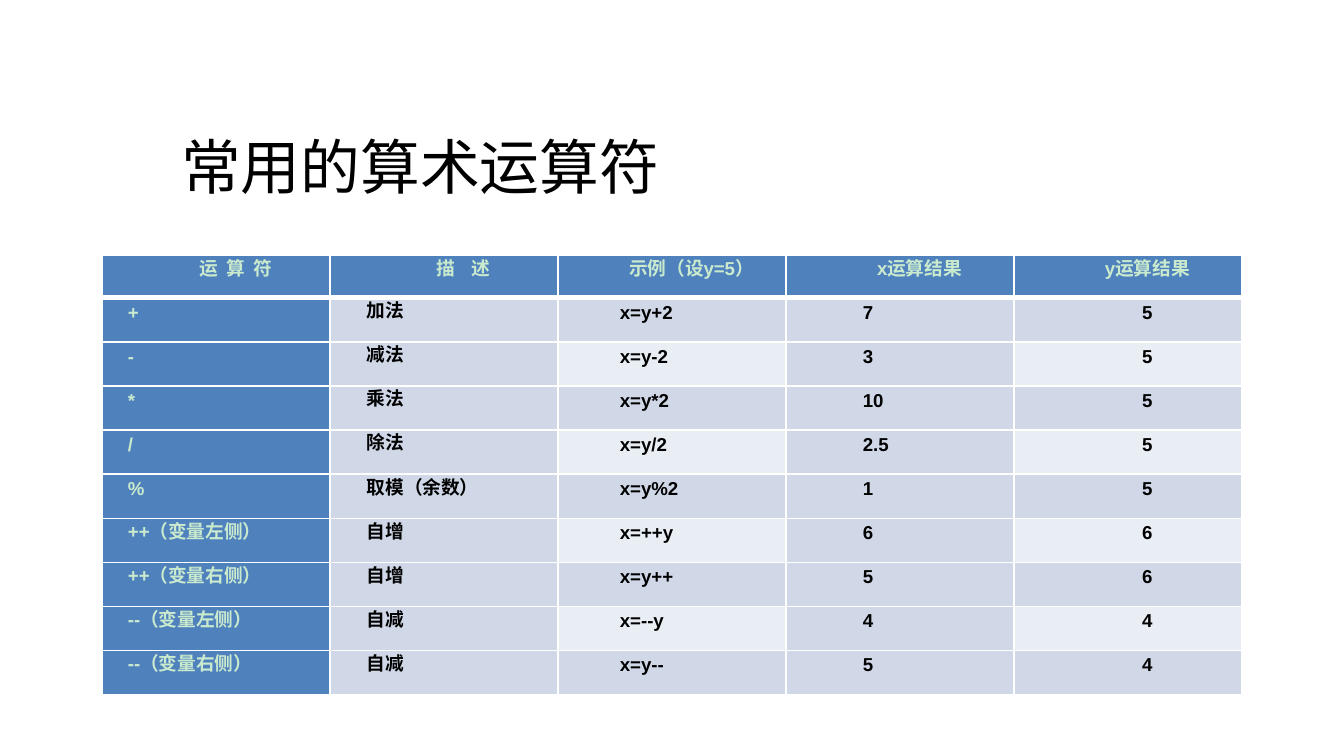
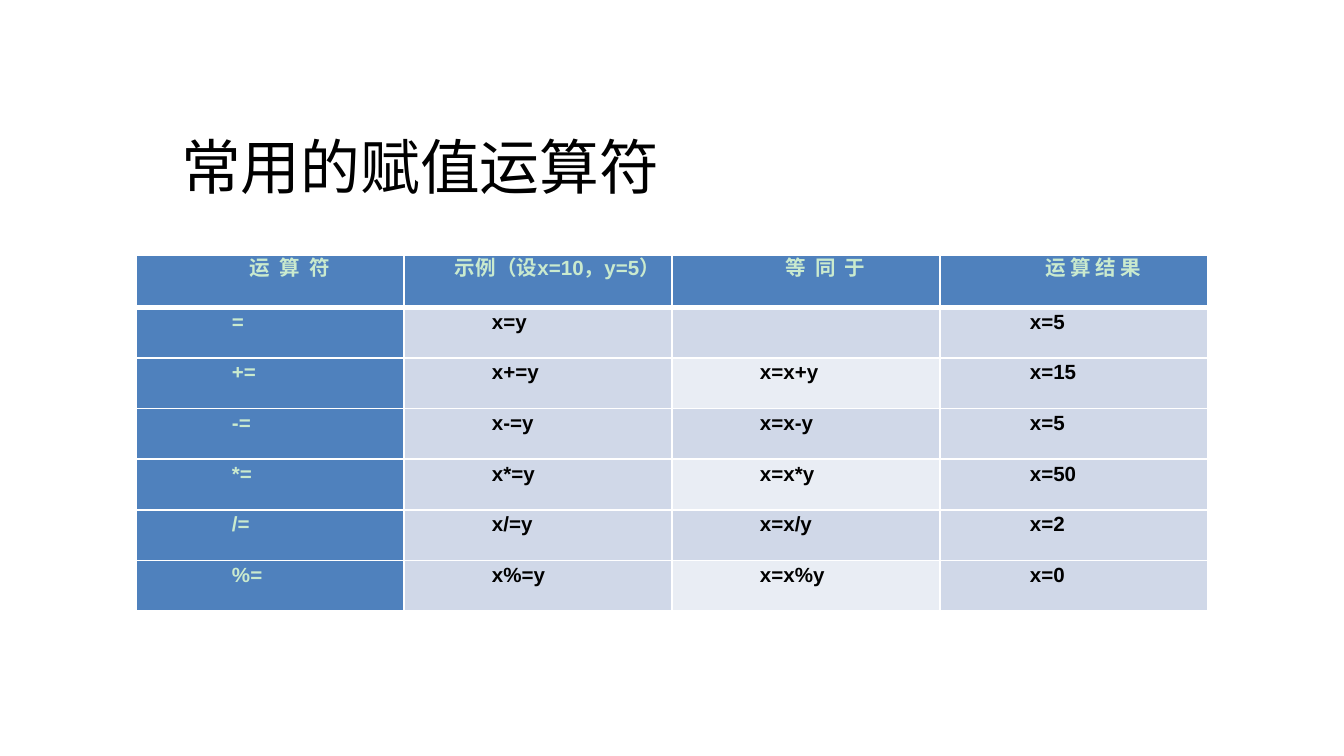
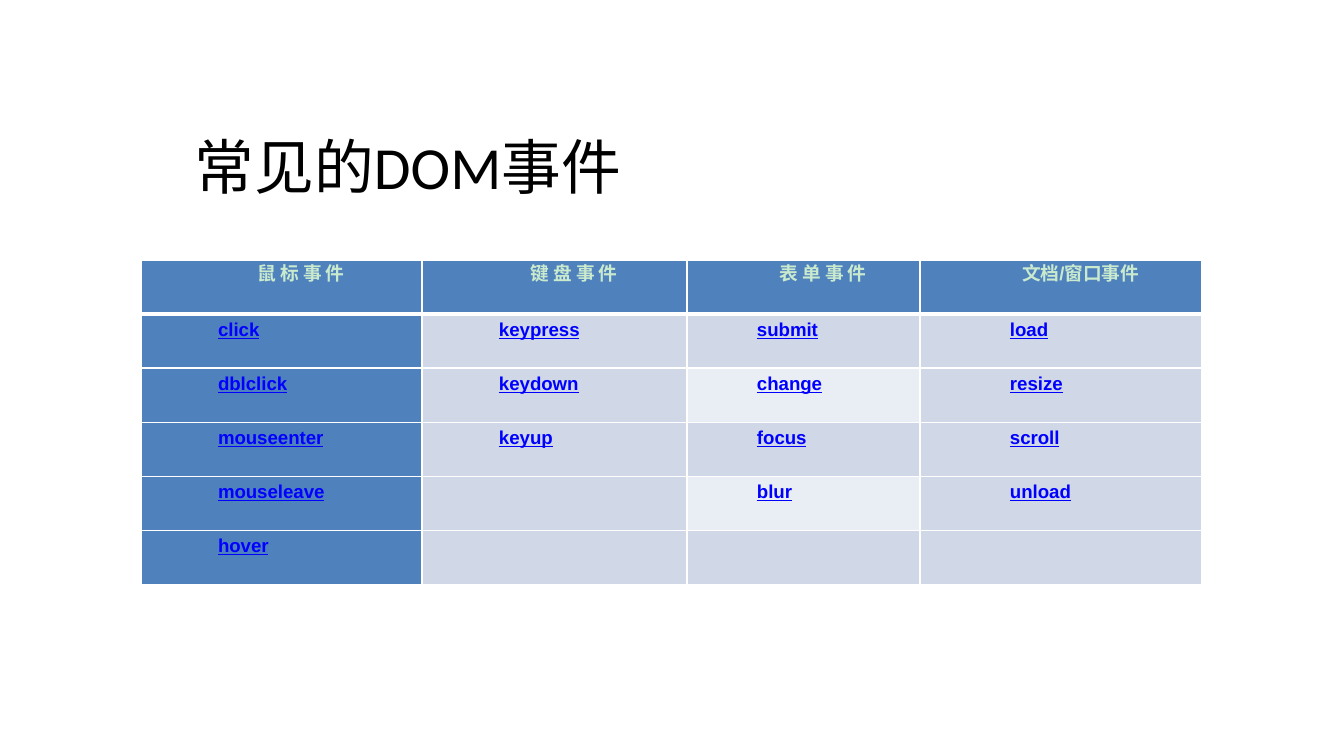
from lxml import etree
from pptx import Presentation
from pptx.dml.color import RGBColor
from pptx.enum import text
from pptx.oxml import ns
from pptx.util import Emu, Pt

PX = 914400 / 134.4
BLACK = RGBColor(0x00, 0x00, 0x00)
WHITE = RGBColor(0xFF, 0xFF, 0xFF)
MINT = RGBColor(0xCA, 0xEA, 0xCE)
BLUE = RGBColor(0x4F, 0x81, 0xBD)
BAND = RGBColor(0xD0, 0xD8, 0xE8)
PALE = RGBColor(0xE9, 0xED, 0xF4)
LINK = RGBColor(0x00, 0x00, 0xFF)

TITLE_BOX = (168, 121, 817, 90)
HEADER_INDENT = 39
CENTER = text.PP_ALIGN.CENTER
JUSTIFY = text.PP_ALIGN.JUSTIFY

ARITHMETIC = [
    ("运  算  符", "描    述", "示例（设y=5）", "x运算结果", "y运算结果"),
    ("+", "加法", "x=y+2", "7", "5"),
    ("-", "减法", "x=y-2", "3", "5"),
    ("*", "乘法", "x=y*2", "10", "5"),
    ("/", "除法", "x=y/2", "2.5", "5"),
    ("%", "取模（余数）", "x=y%2", "1", "5"),
    ("++（变量左侧）", "自增", "x=++y", "6", "6"),
    ("++（变量右侧）", "自增", "x=y++", "5", "6"),
    ("--（变量左侧）", "自减", "x=--y", "4", "4"),
    ("--（变量右侧）", "自减", "x=y--", "5", "4"),
]
ASSIGNMENT = [
    ("运  算  符", "示例（设x=10，y=5）", "等  同  于", "运 算 结 果"),
    ("=", "x=y", "", "x=5"),
    ("+=", "x+=y", "x=x+y", "x=15"),
    ("-=", "x-=y", "x=x-y", "x=5"),
    ("*=", "x*=y", "x=x*y", "x=50"),
    ("/=", "x/=y", "x=x/y", "x=2"),
    ("%=", "x%=y", "x=x%y", "x=0"),
]
EVENTS = [
    ("鼠 标 事 件", "键 盘 事 件", "表 单 事 件", "文档/窗口事件"),
    ("click", "keypress", "submit", "load"),
    ("dblclick", "keydown", "change", "resize"),
    ("mouseenter", "keyup", "focus", "scroll"),
    ("mouseleave", "", "blur", "unload"),
    ("hover", "", "", ""),
]


def px(length):
    return Emu(round(length * PX))


def set_font(paragraph, name, size, color, bold=False, underline=False):
    font = paragraph.font
    font.name = name
    font.size = Pt(size)
    font.color.rgb = color
    font.bold = bold
    font.underline = underline


def add_title(slide, box, title):
    frame = slide.shapes.add_textbox(*map(px, box)).text_frame
    frame.word_wrap = True
    frame.vertical_anchor = text.MSO_ANCHOR.MIDDLE
    paragraph = frame.paragraphs[0]
    paragraph.text = title
    set_font(paragraph, "Calibri", 32, BLACK)


def set_borders(cell, row):
    properties = cell._tc.get_or_add_tcPr()
    widths = {"L": 1, "R": 1, "T": 3 if row == 1 else 1, "B": 3 if row == 0 else 1}
    for side, width in widths.items():
        line = etree.SubElement(properties, ns.qn(f"a:ln{side}"), w=str(Pt(width)))
        fill = etree.SubElement(line, ns.qn("a:solidFill"))
        etree.SubElement(fill, ns.qn("a:srgbClr"), val=str(WHITE))


def cell_fill(row, column):
    if row == 0 or column == 0:
        return BLUE
    return PALE if row % 2 == 0 and column % 2 == 0 else BAND


def fill_cell(cell, row, column, label, size, indent, align, spacing, linked):
    set_borders(cell, row)
    cell.fill.solid()
    cell.fill.fore_color.rgb = cell_fill(row, column)
    cell.margin_left = cell.margin_right = px(7)
    cell.margin_top = cell.margin_bottom = 0
    paragraph = cell.text_frame.paragraphs[0]
    paragraph.text = label
    paragraph.alignment = align
    paragraph.line_spacing = Pt(spacing)
    paragraph._p.get_or_add_pPr().set("indent", str(px(indent)))
    color = LINK if linked else MINT if row == 0 or column == 0 else BLACK
    set_font(paragraph, "Arial", size, color, bold=True, underline=linked)


def add_grid(slide, box, rows, columns, header_height, indents, size,
             spacing=14, centered=(), linked=False):
    left, top, height = box
    frame = slide.shapes.add_table(
        len(rows), len(columns), px(left), px(top), px(sum(columns)), px(height))
    table = frame.table
    table.first_row = table.horz_banding = False
    for column, width in enumerate(columns):
        table.columns[column].width = px(width)
    body_height = (height - header_height) / (len(rows) - 1)
    for row, labels in enumerate(rows):
        header = row == 0
        table.rows[row].height = px(header_height if header else body_height)
        for column, label in enumerate(labels):
            fill_cell(
                table.cell(row, column), row, column, label, size,
                HEADER_INDENT if header else indents[column],
                CENTER if header or column in centered else JUSTIFY,
                14 if header else spacing,
                linked and not header)


def add_table_slide(presentation, title, **grid):
    slide = presentation.slides.add_slide(presentation.slide_layouts[6])
    slide.background.fill.solid()
    slide.background.fill.fore_color.rgb = WHITE
    add_title(slide, TITLE_BOX, title)
    add_grid(slide, **grid)


def main():
    presentation = Presentation()
    presentation.slide_width = px(1344)
    presentation.slide_height = px(756)
    add_table_slide(
        presentation, "常用的算术运算符", box=(102, 255, 440), rows=ARITHMETIC,
        columns=[228] * 5, header_height=43, indents=(19, 30, 55, 70, 39),
        size=10, spacing=13.5, centered=(4,))
    add_table_slide(
        presentation, "常用的赋值运算符", box=(136, 255, 354), rows=ASSIGNMENT,
        columns=[268] * 4, header_height=50, indents=(89, 81, 81, 83), size=11)
    add_table_slide(
        presentation, " 常见的DOM事件", box=(141, 260, 325), rows=EVENTS,
        columns=(281, 265, 233, 282), header_height=54,
        indents=(70, 70, 63, 83), size=10, linked=True)
    presentation.save("out.pptx")


if __name__ == "__main__":
    main()
